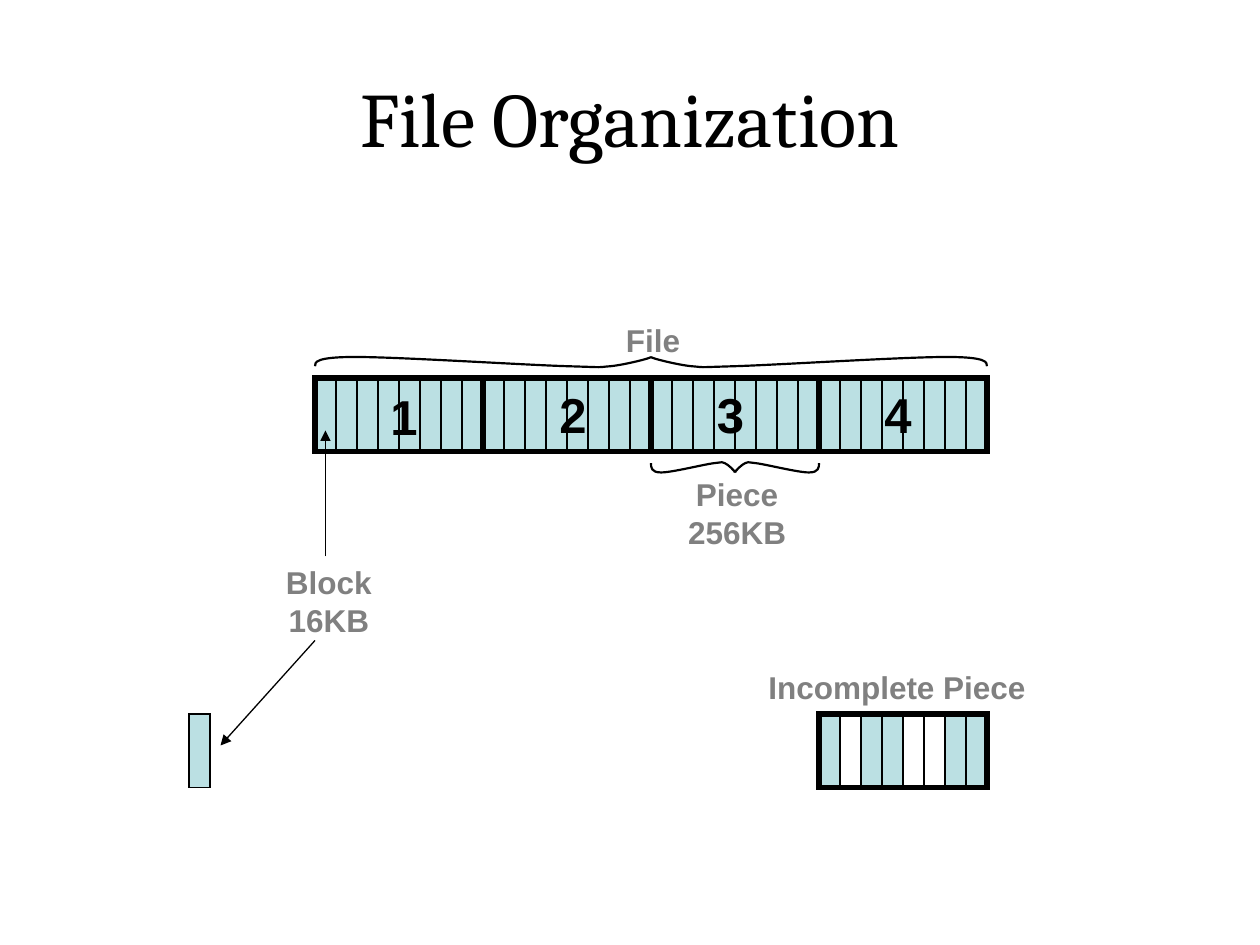
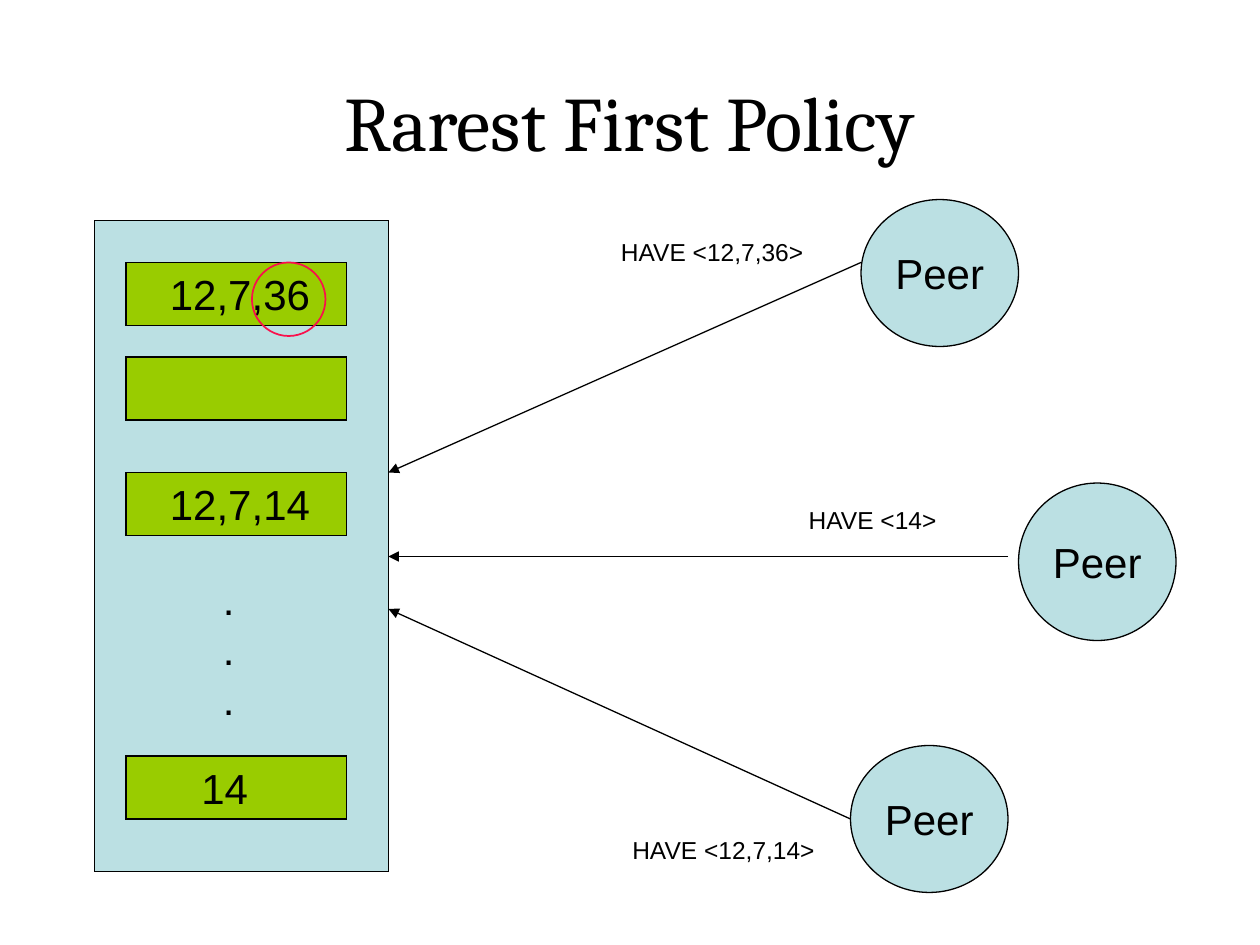
from dataclasses import dataclass
from typing import Optional

from lxml.etree import SubElement
from pptx import Presentation
from pptx.dml.color import RGBColor
from pptx.enum.shapes import MSO_CONNECTOR, MSO_SHAPE
from pptx.enum.text import MSO_ANCHOR, MSO_AUTO_SIZE, PP_ALIGN
from pptx.oxml.ns import qn
from pptx.util import Inches, Pt

BLACK, GRAY, PALE, GREEN, RED = "000000", "808080", "BBE0E3", "99CC00", "F9104C"
HEAD_FONT, BODY_FONT = "Cambria", "Arial"
LEFT, CENTER = PP_ALIGN.LEFT, PP_ALIGN.CENTER
RECT, OVAL = MSO_SHAPE.RECTANGLE, MSO_SHAPE.OVAL

FILE_X, FILE_Y = 2.5, 3
PIECES, BLOCKS = 4, 8
PIECE_W, BLOCK_H = 4 / 3, 0.58
BLOCK_W = PIECE_W / BLOCKS
SPARE_Y = 5.67
BRACE_H = 1 / 12
BRACE_HALF = (
    (0, 0.88),
    (0, 0.5), (0, 0), (0.12, 0),
    (0.25, 0), (0.62, 0.75), (0.75, 0.88),
    (0.88, 1), (0.83, 1), (0.88, 0.88),
    (0.92, 0.75), (1, 0.12), (1, 0),
)
PANEL_X, PANEL_W = 0.75, 2.33
PANEL_RIGHT = PANEL_X + PANEL_W


@dataclass(frozen=True)
class Label:
    """A short text and its box in inches."""
    text: str
    x: float
    y: float
    w: float
    h: float
    align: PP_ALIGN = LEFT


@dataclass(frozen=True)
class Slot:
    """A row of the panel with an optional label."""
    y: float
    label: Optional[Label] = None


@dataclass(frozen=True)
class Peer:
    """A peer circle, the arrow it sends and the message on it."""
    x: float
    y: float
    h: float
    start: tuple[float, float]
    end_y: float
    message: Label


CAPTIONS = (
    Label("Piece\v256KB", 5.36, 3.72, 0.98, 0.7, CENTER),
    Label("Block\v16KB", 2.17, 4.42, 0.88, 0.7, CENTER),
    Label("File", 4.87, 2.5, 0.63, 0.4),
    Label("Incomplete Piece", 6, 5.25, 2.24, 0.4, CENTER),
)
NUMBERS = (
    Label("1", 3, 3.02, 0.41, 0.57),
    Label("2", 4.34, 3, 0.41, 0.57),
    Label("3", 5.59, 3, 0.41, 0.57),
    Label("4", 6.92, 3, 0.41, 0.57),
)
SLOTS = (
    Slot(2.08, Label("12,7,36", 1.25, 2.08, 1.31, 0.5)),
    Slot(2.83),
    Slot(3.75, Label("12,7,14", 1.25, 3.75, 1.31, 0.5)),
    Slot(6, Label("14", 1.5, 6, 0.57, 0.5)),
)
PEERS = (
    Peer(6.83, 1.58, 1.17, (6.83, 2.08), 3.75,
         Label("HAVE <12,7,36>", 4.83, 1.83, 1.74, 0.34)),
    Peer(8.08, 3.83, 1.25, (8, 4.42), 4.42,
         Label("HAVE <14>", 6.32, 3.96, 1.23, 0.34)),
    Peer(6.75, 5.92, 1.17, (6.75, 6.5), 4.83,
         Label("HAVE <12,7,14>", 4.92, 6.58, 1.66, 0.34)),
)


def rgb(color: str) -> RGBColor:
    """Turn a hex string into a colour."""
    return RGBColor.from_string(color)


def snap(value: float) -> Inches:
    """Return a length on the drawing grid of twelfths of an inch."""
    return Inches(round(value * 12) / 12)


def write(tf, text: str, *, size: float = 24, font: str = BODY_FONT,
          color: str = BLACK, bold: bool = False, align: PP_ALIGN = LEFT,
          wrap: bool = False, anchor: MSO_ANCHOR = MSO_ANCHOR.TOP) -> None:
    """Fill a text frame with formatted text."""
    tf.text = text
    tf.word_wrap = wrap
    tf.vertical_anchor = anchor
    for p in tf.paragraphs:
        p.alignment = align
        for r in p.runs:
            r.font.name, r.font.size, r.font.bold = font, Pt(size), bold
            r.font.color.rgb = rgb(color)


def add_label(s, label: Label, **style) -> None:
    """Add a label whose box fits its text."""
    box = s.shapes.add_textbox(Inches(label.x), Inches(label.y),
                               Inches(label.w), Inches(label.h))
    write(box.text_frame, label.text, align=label.align, **style)
    box.text_frame.auto_size = MSO_AUTO_SIZE.SHAPE_TO_FIT_TEXT


def add_title(s, text: str, x: float, y: float, w: float) -> None:
    """Add the slide title."""
    box = s.shapes.add_textbox(Inches(x), Inches(y), Inches(w), Inches(1.25))
    write(box.text_frame, text, size=44, font=HEAD_FONT, align=CENTER,
          wrap=True, anchor=MSO_ANCHOR.MIDDLE)


def paint(sp, fill: Optional[str], line: str, width: float) -> None:
    """Set the fill and outline of a shape and drop its shadow."""
    sp.shadow.inherit = False
    if fill:
        sp.fill.solid()
        sp.fill.fore_color.rgb = rgb(fill)
    else:
        sp.fill.background()
    sp.line.color.rgb = rgb(line)
    sp.line.width = Pt(width)


def add_box(s, x: float, y: float, w: float, h: float, *,
            kind: MSO_SHAPE = RECT, fill: Optional[str] = None,
            line: str = BLACK, width: float = 0.75):
    """Add an outlined preset shape with sharp corners."""
    sp = s.shapes.add_shape(kind, *(snap(v) for v in (x, y, w, h)))
    paint(sp, fill, line, width)
    SubElement(sp.line._get_or_add_ln(), qn("a:miter"), lim="800000")
    return sp


def add_arrow(s, start: tuple[float, float], end: tuple[float, float]) -> None:
    """Add a thin line with a triangle at its end."""
    sp = s.shapes.add_connector(MSO_CONNECTOR.STRAIGHT,
                                *(snap(v) for v in (*start, *end)))
    sp.line.color.rgb = rgb(BLACK)
    sp.line.width = Pt(0.75)
    SubElement(sp.line._get_or_add_ln(), qn("a:tailEnd"), type="triangle")
    SubElement(sp._element.spPr, qn("a:effectLst"))


def add_curve(s, points: list[tuple[int, int]]) -> None:
    """Add an open cubic curve through a start and triples of points."""
    builder = s.shapes.build_freeform(*points[0])
    builder.add_line_segments(points[1:], close=False)
    sp = builder.convert_to_shape()
    outline = next(sp._element.iter(qn("a:path")))
    lines = outline.findall(qn("a:lnTo"))
    for i in range(0, len(lines), 3):
        curve = SubElement(outline, qn("a:cubicBezTo"))
        for line in lines[i:i + 3]:
            curve.append(line[0])
            outline.remove(line)
    paint(sp, None, BLACK, 1.25)


def add_brace(s, x: float, w: float, tip_y: float, depth: float) -> None:
    """Add a brace pointing at tip_y; depth is signed away from the tip."""
    group = s.shapes.add_group_shape()
    for edge, reach in ((x, w / 2), (x + w, -w / 2)):
        add_curve(group, [(Inches(edge + u * reach), snap(tip_y) + Inches(v * depth))
                          for u, v in BRACE_HALF])


def add_piece(s, x: float, y: float, missing: tuple[int, ...] = ()) -> None:
    """Add a piece made of blocks, leaving the missing ones empty."""
    for i in range(BLOCKS):
        add_box(s, x + i * BLOCK_W, y, BLOCK_W, BLOCK_H,
                fill=None if i in missing else PALE)
    add_box(s, x, y, PIECE_W, BLOCK_H, width=3)


def build_file_slide(s) -> None:
    """Draw how a file splits into pieces and blocks."""
    add_title(s, "File Organization", 0.5, 0.3, 9)
    add_box(s, 1.5, SPARE_Y, BLOCK_W, BLOCK_H, fill=PALE)
    whole_file = s.shapes.add_group_shape()
    for i in range(PIECES):
        add_piece(whole_file, FILE_X + i * PIECE_W, FILE_Y)
    add_arrow(s, (2.58, 4.42), (2.58, 3.42))
    add_brace(s, FILE_X + 2 * PIECE_W, PIECE_W, 3.75, -BRACE_H)
    add_brace(s, FILE_X, PIECES * PIECE_W, 2.83, BRACE_H)
    for label in NUMBERS:
        add_label(s, label, size=28, bold=True)
    add_arrow(s, (2.5, 5.08), (1.75, 5.92))
    add_piece(s.shapes.add_group_shape(), FILE_X + 3 * PIECE_W, SPARE_Y,
              missing=(1, 4, 5))
    for label in CAPTIONS:
        add_label(s, label, size=18, color=GRAY, bold=True)


def build_policy_slide(s) -> None:
    """Draw the peers announcing the pieces they have."""
    add_title(s, "Rarest First Policy", 0.75, 0.33, 8.5)
    add_box(s, PANEL_X, 1.75, PANEL_W, 5.17, fill=PALE)
    for slot in SLOTS:
        add_box(s, 1, slot.y, 1.75, 0.5, fill=GREEN)
    add_label(s, Label(".\n.\n.", 1.67, 4.5, 0.29, 1.3))
    for peer in PEERS:
        sp = add_box(s, peer.x, peer.y, 1.25, peer.h, kind=OVAL, fill=PALE)
        write(sp.text_frame, "Peer", align=CENTER, anchor=MSO_ANCHOR.MIDDLE)
    for peer in PEERS:
        group = s.shapes.add_group_shape()
        add_arrow(group, peer.start, (PANEL_RIGHT, peer.end_y))
        add_label(group, peer.message, size=14)
    for slot in SLOTS:
        if slot.label:
            add_label(s, slot.label)
    add_box(s, 2, 2.08, 0.58, 0.58, kind=OVAL, line=RED, width=1)


def main() -> None:
    """Build and save the presentation."""
    prs = Presentation()
    prs.slide_width, prs.slide_height = Inches(10), Inches(7.5)
    for build in (build_file_slide, build_policy_slide):
        build(prs.slides.add_slide(prs.slide_layouts[6]))
    prs.save("out.pptx")


if __name__ == "__main__":
    main()
